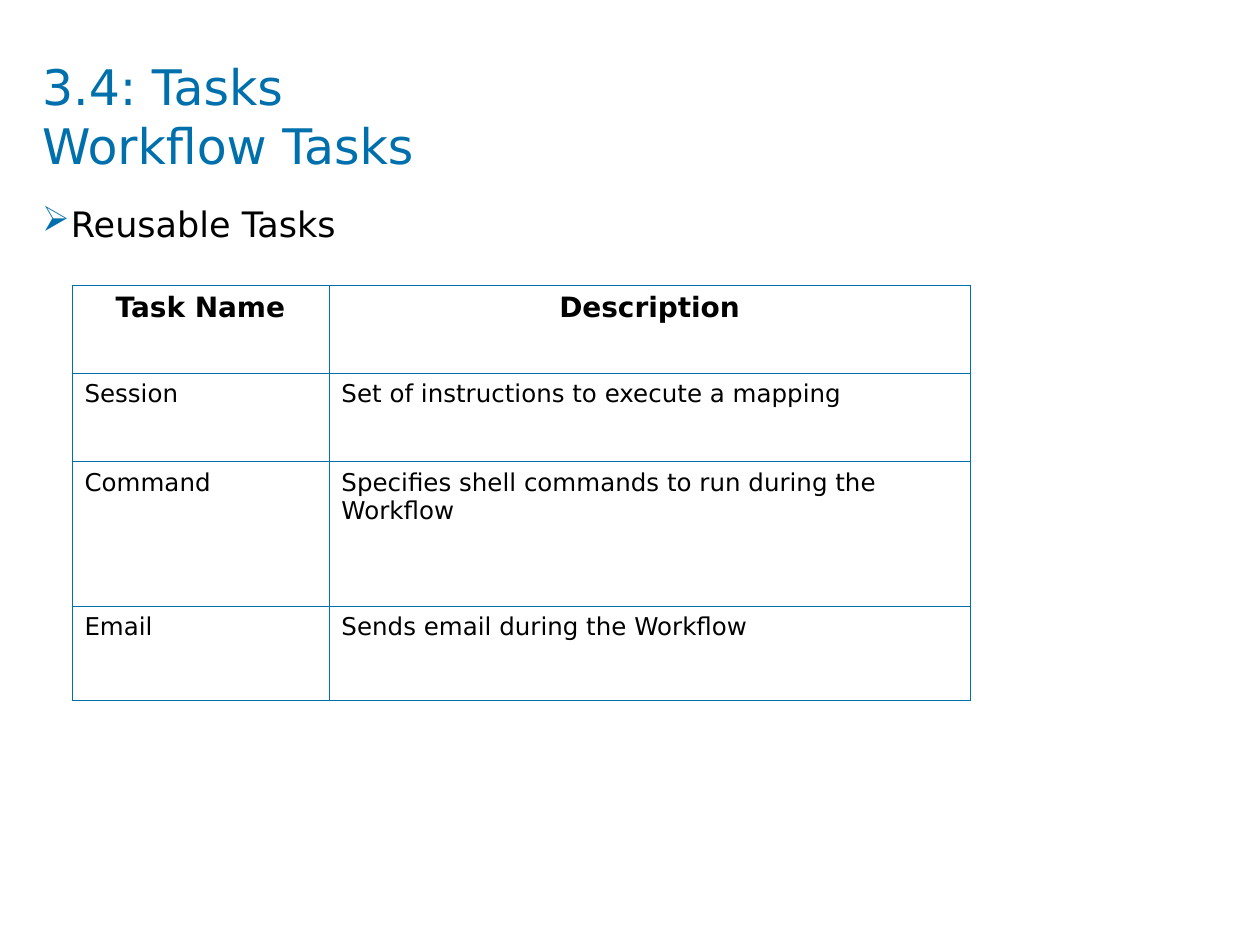
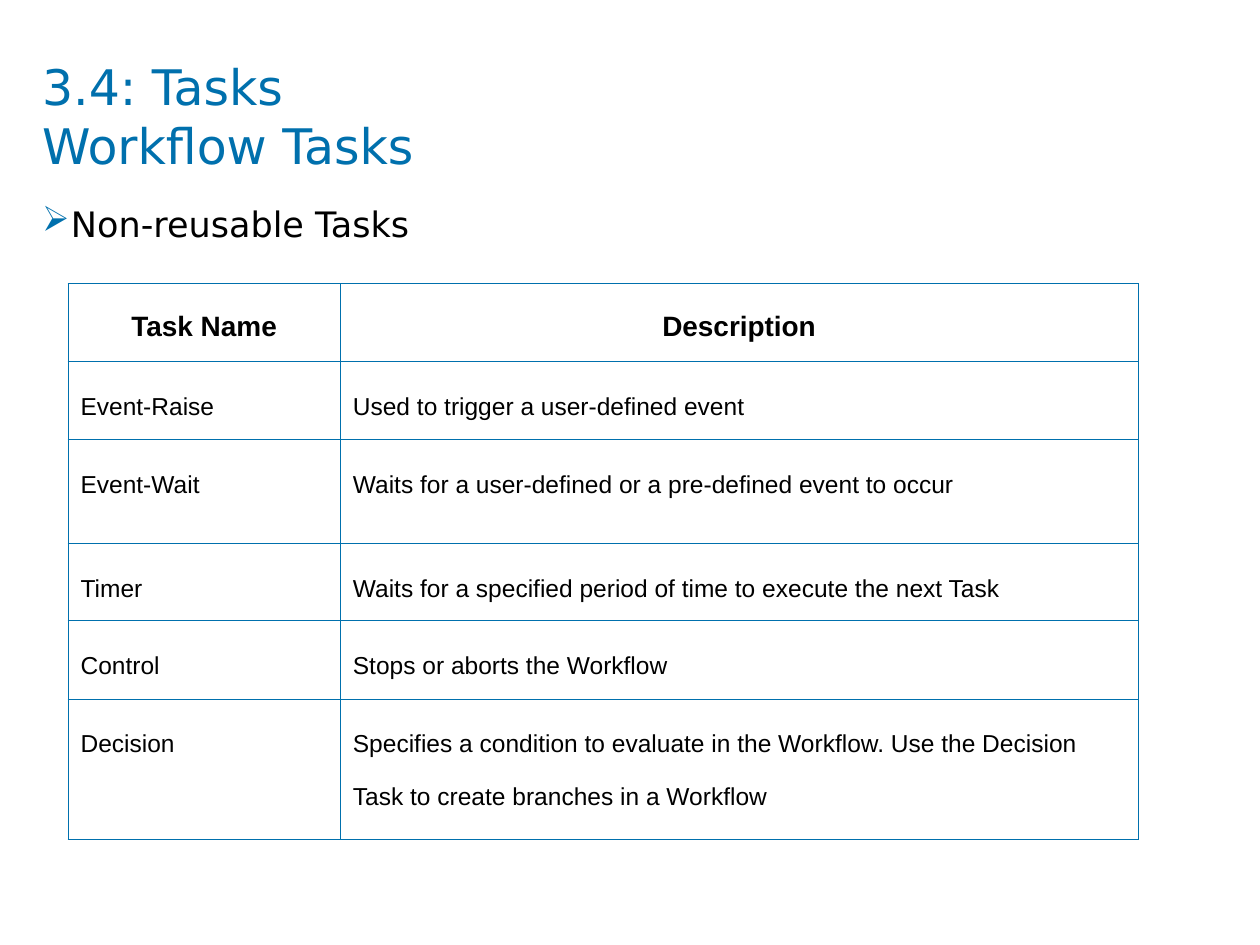
import pptx
import pptx.dml.color
import pptx.enum.text
import pptx.oxml
import pptx.oxml.ns
import pptx.util

Cm = pptx.util.Cm
Pt = pptx.util.Pt
ALIGN = pptx.enum.text.PP_ALIGN
ANCHOR = pptx.enum.text.MSO_ANCHOR
BLUE = "0070AD"
BLACK = "000000"
SANS = "DejaVu Sans"
NS = pptx.oxml.ns.nsdecls("a")


def hue(code):
    return pptx.dml.color.RGBColor.from_string(code)


def write(frame, text, size, font=SANS, color=BLACK, bold=False,
          align=ALIGN.LEFT, gap=0, lead=None):
    frame.word_wrap = True
    para = frame.paragraphs[0]
    para.text = text
    para.alignment = align
    para.space_before = Pt(gap)
    if lead:
        para.line_spacing = lead
    for run in para.runs:
        run.font.size = Pt(size)
        run.font.name = font
        run.font.bold = bold
        run.font.color.rgb = hue(color)
    return para


# Content: topic, table font, line pitch, corner, columns, row heights, rows
HEAD = ("Task Name", "Description")
pages = [
    ("Reusable Tasks", SANS, None, (1.45, 5.75), (5.18, 12.93),
     (1.78, 1.78, 2.92, 1.88),
     [HEAD,
      ("Session", "Set of instructions to execute a mapping"),
      ("Command", "Specifies shell commands to run during the Workflow"),
      ("Email", "Sends email during the Workflow")]),
    ("Non-reusable Tasks", "Arial", Pt(30), (1.37, 5.72), (5.49, 16.08),
     (1.57, 1.57, 2.1, 1.55, 1.59, 2.82),
     [HEAD,
      ("Event-Raise", "Used to trigger a user-defined event"),
      ("Event-Wait", "Waits for a user-defined or a pre-defined event to occur"),
      ("Timer", "Waits for a specified period of time to execute the next Task"),
      ("Control", "Stops or aborts the Workflow"),
      ("Decision", "Specifies a condition to evaluate in the Workflow. "
                   "Use the Decision Task to create branches in a Workflow")]),
]

deck = pptx.Presentation()
deck.slide_width = Cm(25.4)
deck.slide_height = Cm(19.05)

for topic, font, lead, spot, cols, tall, rows in pages:
    slide = deck.slides.add_slide(deck.slide_layouts[6])

    # Title and topic boxes
    frames = []
    for top, high in ((1.14, 2.39), (4.17, 12.9)):
        box = slide.shapes.add_textbox(Cm(0.85), Cm(top), Cm(23.7), Cm(high))
        frame = box.text_frame
        frame.margin_left = frame.margin_right = 0
        frame.margin_top = frame.margin_bottom = 0
        frames.append(frame)
    title, body = frames
    title.vertical_anchor = ANCHOR.MIDDLE
    write(title, "3.4: Tasks\nWorkflow Tasks", 28, color=BLUE)
    para = write(body, topic, 20, align=ALIGN.JUSTIFY, gap=7.5, lead=0.9)

    # Arrow bullet with hanging indent
    props = para._p.get_or_add_pPr()
    props.set("marL", str(Cm(0.58)))
    props.set("indent", str(-Cm(0.58)))
    for xml in (f'<a:buClr {NS}><a:srgbClr val="{hue(BLUE)}"/></a:buClr>',
                f'<a:buChar {NS} char="➢"/>'):
        props.append(pptx.oxml.parse_xml(xml))

    # Task table
    grid = slide.shapes.add_table(
        len(rows), len(cols), Cm(spot[0]), Cm(spot[1]),
        Cm(sum(cols)), Cm(sum(tall))).table
    grid.first_row = grid.horz_banding = False
    for col, wide in zip(grid.columns, cols):
        col.width = Cm(wide)
    for r, row in enumerate(rows):
        grid.rows[r].height = Cm(tall[r])
        top = r == 0
        for c, text in enumerate(row):
            cell = grid.cell(r, c)
            write(cell.text_frame, text, 16 if top else 14, font=font,
                  bold=top, align=ALIGN.CENTER if top else ALIGN.LEFT,
                  gap=4 if top else 3.5, lead=lead)
            edge = cell._tc.get_or_add_tcPr()
            for side in "LRTB":
                edge.append(pptx.oxml.parse_xml(
                    f'<a:ln{side} {NS} w="{Pt(0.45)}"><a:solidFill>'
                    f'<a:srgbClr val="{hue(BLUE)}"/></a:solidFill></a:ln{side}>'))
            cell.fill.background()

deck.save("out.pptx")
